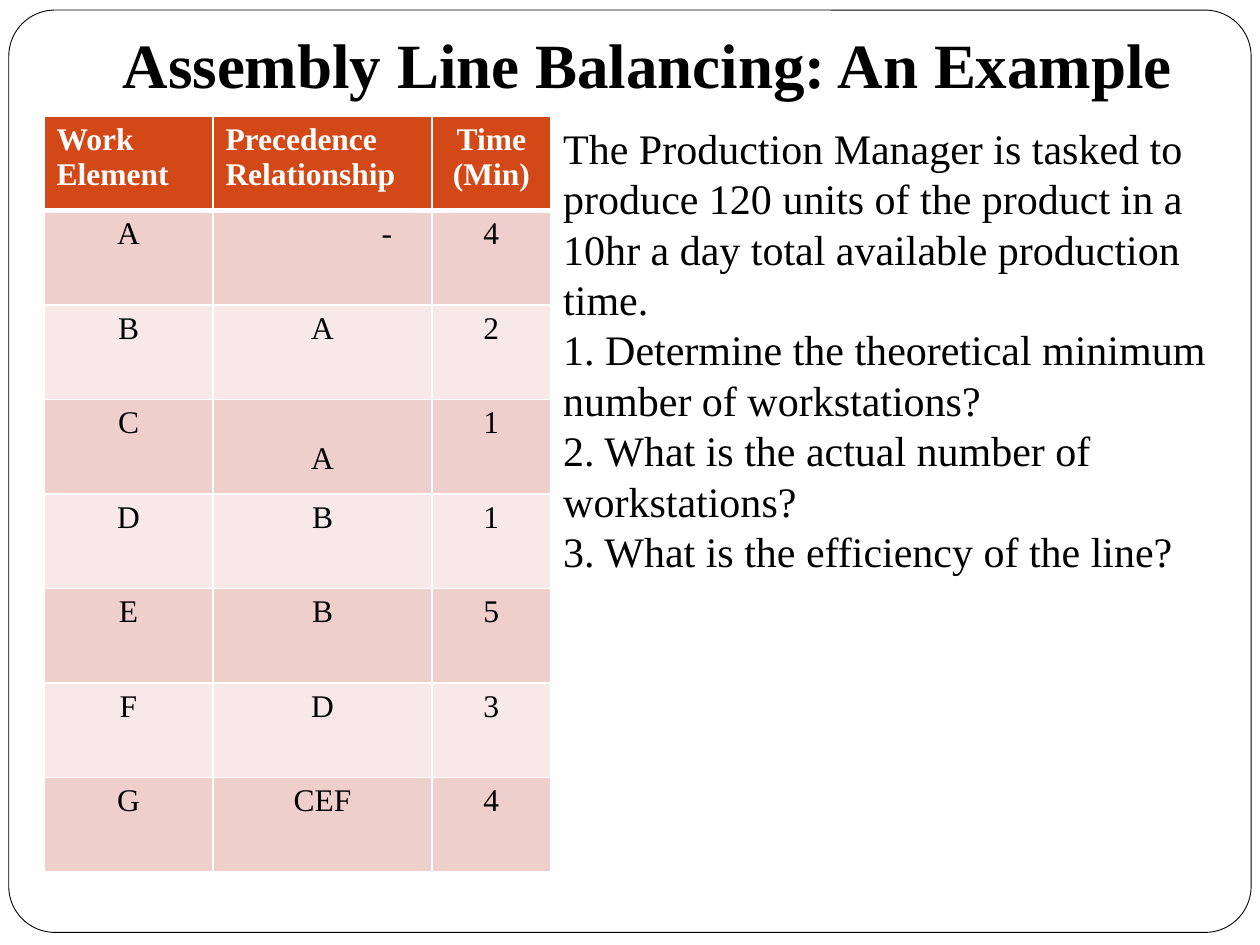
from lxml.etree import SubElement
from pptx import Presentation
from pptx.dml.color import RGBColor
from pptx.enum.shapes import MSO_SHAPE
from pptx.enum.text import MSO_ANCHOR, MSO_AUTO_SIZE, PP_ALIGN
from pptx.oxml.ns import qn
from pptx.util import Inches, Pt

# Content
TITLE = "Assembly Line Balancing: An Example"
HEAD = ("Work Element", "Precedence Relationship", "Time (Min)")
TASKS = [
    ("A", "-", 4),
    ("B", "A", 2),
    ("C", "A", 1),
    ("D", "B", 1),
    ("E", "B", 5),
    ("F", "D", 3),
    ("G", "CEF", 4),
]
BRIEF = [
    "The Production Manager is tasked to produce 120 units of the product "
    "in a 10hr a day total available production time.",
    "1. Determine the theoretical minimum number of workstations?",
    "2. What is the actual number of workstations?",
    "3. What is the efficiency of the line?",
]

# Format
BLACK = RGBColor(0x00, 0x00, 0x00)
WHITE = RGBColor(0xFF, 0xFF, 0xFF)
RUST = RGBColor(0xD3, 0x48, 0x17)
ROSE = RGBColor(0xEF, 0xCF, 0xCC)
PALE = RGBColor(0xF7, 0xE9, 0xE8)
FACE = "Times New Roman"
TITLE_FONT = dict(name=FACE, size=Pt(36), bold=True)
HEAD_FONT = dict(name=FACE, size=Pt(18), bold=True)
CELL_FONT = dict(name=FACE, size=Pt(18), bold=False)
BRIEF_FONT = dict(name=FACE, size=Pt(24), bold=False)
COLS = (1.34, 1.74, 0.94)
ROW = 0.75
# Cells whose text is pushed right or down
SHIFTS = {
    (1, 1): dict(margin_left=Inches(1.12)),
    (3, 1): dict(margin_top=Inches(0.33)),
}


def apply(item, values):
    for key, value in values.items():
        setattr(item, key, value)


def style(para, font, color, align):
    para.alignment = align
    apply(para.font, font)
    para.font.color.rgb = color


def place(shape, left, top, width, height):
    box = dict(left=left, top=top, width=width, height=height)
    apply(shape, {key: Inches(value) for key, value in box.items()})


def border(cell, base):
    props = cell._tc.get_or_add_tcPr()
    for side, width in dict(lnL=1, lnR=1, lnT=1, lnB=base).items():
        line = SubElement(props, qn(f"a:{side}"), w=str(Pt(width)))
        fill = SubElement(line, qn("a:solidFill"))
        SubElement(fill, qn("a:srgbClr"), val=str(WHITE))


def main():
    deck = Presentation()
    deck.slide_width, deck.slide_height = Inches(10), Inches(7.5)
    slide = deck.slides.add_slide(deck.slide_layouts[1])
    title, body = slide.placeholders

    # Rounded frame, sent to the back
    frame = slide.shapes.add_shape(
        MSO_SHAPE.ROUNDED_RECTANGLE,
        Inches(0.07), Inches(0.08), Inches(9.86), Inches(7.32))
    frame.adjustments[0] = 0.05
    frame.shadow.inherit = False
    frame.fill.solid()
    frame.fill.fore_color.rgb = WHITE
    frame.line.color.rgb = BLACK
    frame.line.width = Pt(0.5)
    title._element.addprevious(frame._element)

    # Title
    place(title, 0.28, 0.21, 9.72, 0.69)
    title.text = TITLE
    apply(title.text_frame, dict(
        vertical_anchor=MSO_ANCHOR.BOTTOM, margin_bottom=Inches(0.1),
        auto_size=MSO_AUTO_SIZE.NONE, word_wrap=True))
    style(title.text_frame.paragraphs[0], TITLE_FONT, BLACK, PP_ALIGN.CENTER)

    # Task table
    rows = [HEAD, *TASKS]
    table = slide.shapes.add_table(
        len(rows), len(COLS), Inches(0.35), Inches(0.92),
        Inches(sum(COLS)), Inches(ROW * len(rows))).table
    for col, width in zip(table.columns, COLS):
        col.width = Inches(width)
    for r, row in enumerate(rows):
        table.rows[r].height = Inches(ROW)
        for c, value in enumerate(row):
            cell = table.cell(r, c)
            cell.text = str(value)
            border(cell, 1 if r else 3)
            cell.fill.solid()
            cell.fill.fore_color.rgb = (ROSE if r % 2 else PALE) if r else RUST
            apply(cell, SHIFTS.get((r, c), {}))
            left = r == 0 and c < 2
            style(cell.text_frame.paragraphs[0],
                  CELL_FONT if r else HEAD_FONT,
                  BLACK if r else WHITE,
                  PP_ALIGN.LEFT if left else PP_ALIGN.CENTER)

    # Brief and questions
    place(body, 4.37, 0.92, 5.39, 3.33)
    body.text = "\n".join(BRIEF)
    apply(body.text_frame, dict(
        word_wrap=True, auto_size=MSO_AUTO_SIZE.SHAPE_TO_FIT_TEXT))
    for para in body.text_frame.paragraphs:
        props = para._p.get_or_add_pPr()
        props.set("marL", "0")
        props.set("indent", "0")
        SubElement(props, qn("a:buNone"))
        para.space_before = Pt(0)
        style(para, BRIEF_FONT, BLACK, PP_ALIGN.LEFT)

    deck.save("out.pptx")


if __name__ == "__main__":
    main()
